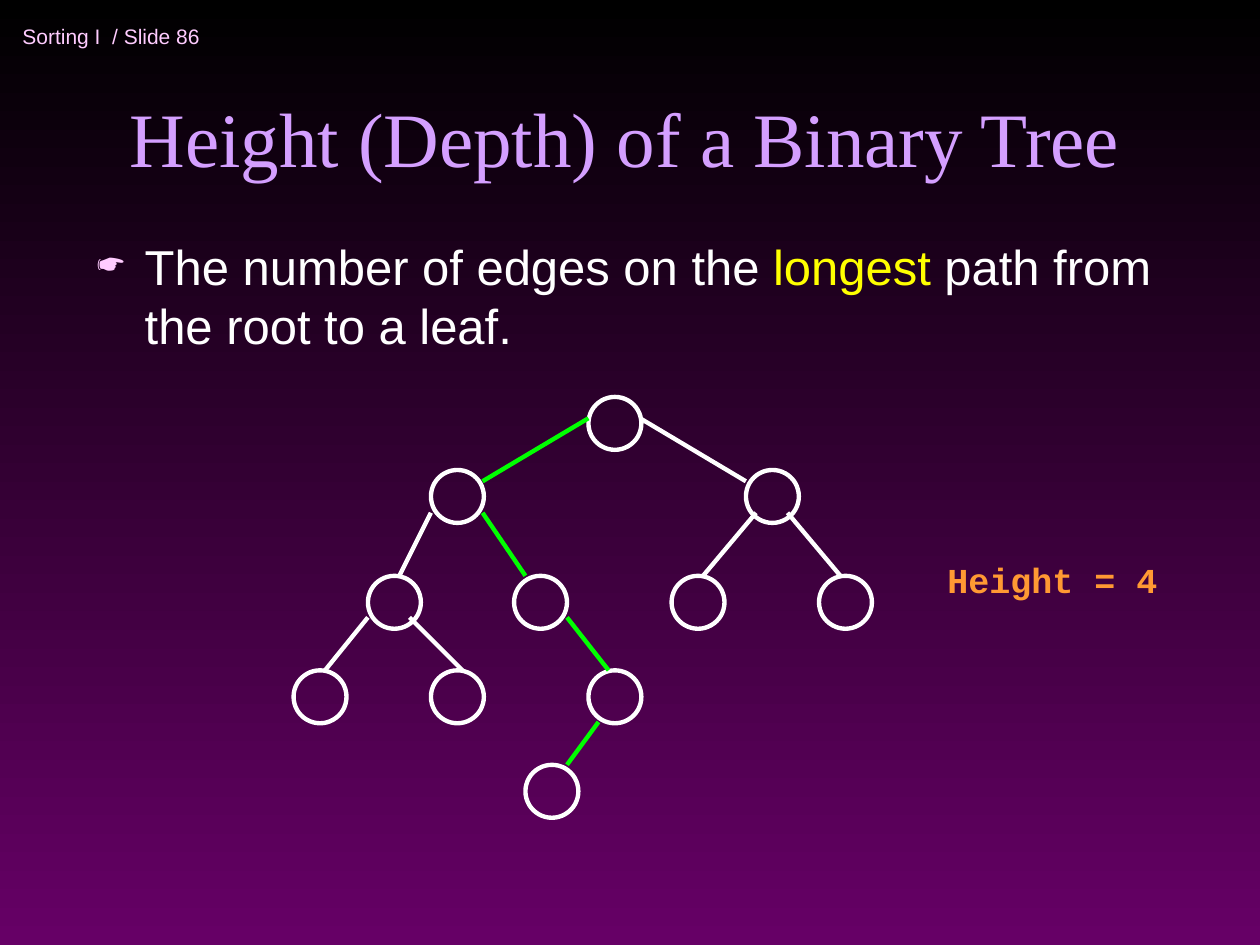
"""Build a slide that explains the height of a binary tree."""
import pptx
import pptx.dml.color
import pptx.enum.shapes
import pptx.enum.text
import pptx.oxml
import pptx.oxml.ns
import pptx.util

Inches = pptx.util.Inches
Pt = pptx.util.Pt
RGBColor = pptx.dml.color.RGBColor
MSO_ANCHOR = pptx.enum.text.MSO_ANCHOR
PP_ALIGN = pptx.enum.text.PP_ALIGN

THEME = {
    "top": RGBColor.from_string("000000"),
    "bottom": RGBColor.from_string("660066"),
    "header": RGBColor.from_string("FFCCFF"),
    "title": RGBColor.from_string("D49FFF"),
    "text": RGBColor.from_string("FFFFFF"),
    "accent": RGBColor.from_string("FFFF00"),
    "path": RGBColor.from_string("00FF00"),
    "result": RGBColor.from_string("FF9933"),
    "header_size": Pt(12),
    "title_size": Pt(44),
    "body_size": Pt(28),
    "result_size": Pt(20),
    "line": Pt(2.5),
}


def add_text(slide, box, runs, frame_format, font_format, align=PP_ALIGN.LEFT, bullet=None):
    text_frame = slide.shapes.add_textbox(*map(Inches, box)).text_frame
    for name, value in frame_format.items():
        setattr(text_frame, name, value)
    paragraph = text_frame.paragraphs[0]
    paragraph.alignment = align
    if bullet:
        properties = paragraph._p.get_or_add_pPr()
        properties.set("marL", str(Inches(0.38)))
        properties.set("indent", str(-Inches(0.38)))
        namespace = pptx.oxml.ns.nsdecls("a")
        for xml in (
            f'<a:buClr {namespace}><a:srgbClr val="{THEME["header"]}"/></a:buClr>',
            f'<a:buSzPct {namespace} val="75000"/>',
            f'<a:buChar {namespace} char="{bullet}"/>',
        ):
            properties.append(pptx.oxml.parse_xml(xml))
    for text, color in runs:
        run = paragraph.add_run()
        run.text = text
        for name, value in font_format.items():
            setattr(run.font, name, value)
        run.font.color.rgb = THEME[color]


presentation = pptx.Presentation()
presentation.slide_width = Inches(10)
presentation.slide_height = Inches(7.5)
slide = presentation.slides.add_slide(presentation.slide_layouts[6])

background = slide.background.fill
background.gradient()
background.gradient_angle = 270
for stop, color, position in zip(background.gradient_stops, ("top", "bottom"), (0, 1)):
    stop.color.rgb = THEME[color]
    stop.position = position

add_text(
    slide, (0.08, 0.08, 2.75, 0.42), [("Sorting I  / Slide 86", "header")],
    {"word_wrap": True, "vertical_anchor": MSO_ANCHOR.MIDDLE},
    {"name": "Arial", "size": THEME["header_size"]},
)
add_text(
    slide, (0.67, 0.25, 8.58, 1.25), [("Height (Depth) of a Binary Tree", "title")],
    {"word_wrap": True, "vertical_anchor": MSO_ANCHOR.BOTTOM},
    {"name": "Times New Roman", "size": THEME["title_size"]},
    align=PP_ALIGN.CENTER,
)
add_text(
    slide, (0.67, 1.83, 8.58, 5.25),
    [
        ("The number of edges on the ", "text"),
        ("longest", "accent"),
        (" path from the root to a leaf.", "text"),
    ],
    {"word_wrap": True, "vertical_anchor": MSO_ANCHOR.TOP},
    {"name": "Arial", "size": THEME["body_size"]},
    bullet="☛",
)
add_text(
    slide, (7.42, 4.38, 1.87, 0.44), [("Height = 4", "result")],
    {"word_wrap": False, "vertical_anchor": MSO_ANCHOR.TOP},
    {"name": "Courier New", "size": THEME["result_size"], "bold": True},
)

node_size = 0.42
tree_levels = {
    3.15: [4.67],
    3.73: [3.42, 5.92],
    4.57: [2.92, 4.08, 5.33, 6.5],
    5.32: [2.33, 3.42, 4.67],
    6.07: [4.17],
}
for top, lefts in tree_levels.items():
    for left in lefts:
        node = slide.shapes.add_shape(
            pptx.enum.shapes.MSO_SHAPE.OVAL,
            *map(Inches, (left, top, node_size, node_size)),
        )
        node.shadow.inherit = False
        node.fill.background()
        node.line.color.rgb = THEME["text"]
        node.line.width = THEME["line"]

edge_levels = {
    (3.32, 3.82): [(4.67, 3.83, "path"), (5.08, 5.92, "text")],
    (4.07, 4.57): [
        (3.42, 3.17, "text"), (3.83, 4.17, "path"),
        (6, 5.58, "text"), (6.25, 6.67, "text"),
    ],
    (4.9, 5.32): [(2.92, 2.58, "text"), (3.25, 3.67, "text"), (4.5, 4.83, "path")],
    (5.73, 6.07): [(4.75, 4.5, "path")],
}
for (start_y, end_y), edges in edge_levels.items():
    for start_x, end_x, color in edges:
        edge = slide.shapes.add_connector(
            pptx.enum.shapes.MSO_CONNECTOR.STRAIGHT,
            *map(Inches, (start_x, start_y, end_x, end_y)),
        )
        edge.line.color.rgb = THEME[color]
        edge.line.width = THEME["line"]
        effects = pptx.oxml.parse_xml(f'<a:effectLst {pptx.oxml.ns.nsdecls("a")}/>')
        edge._element.spPr.append(effects)

presentation.save("out.pptx")
